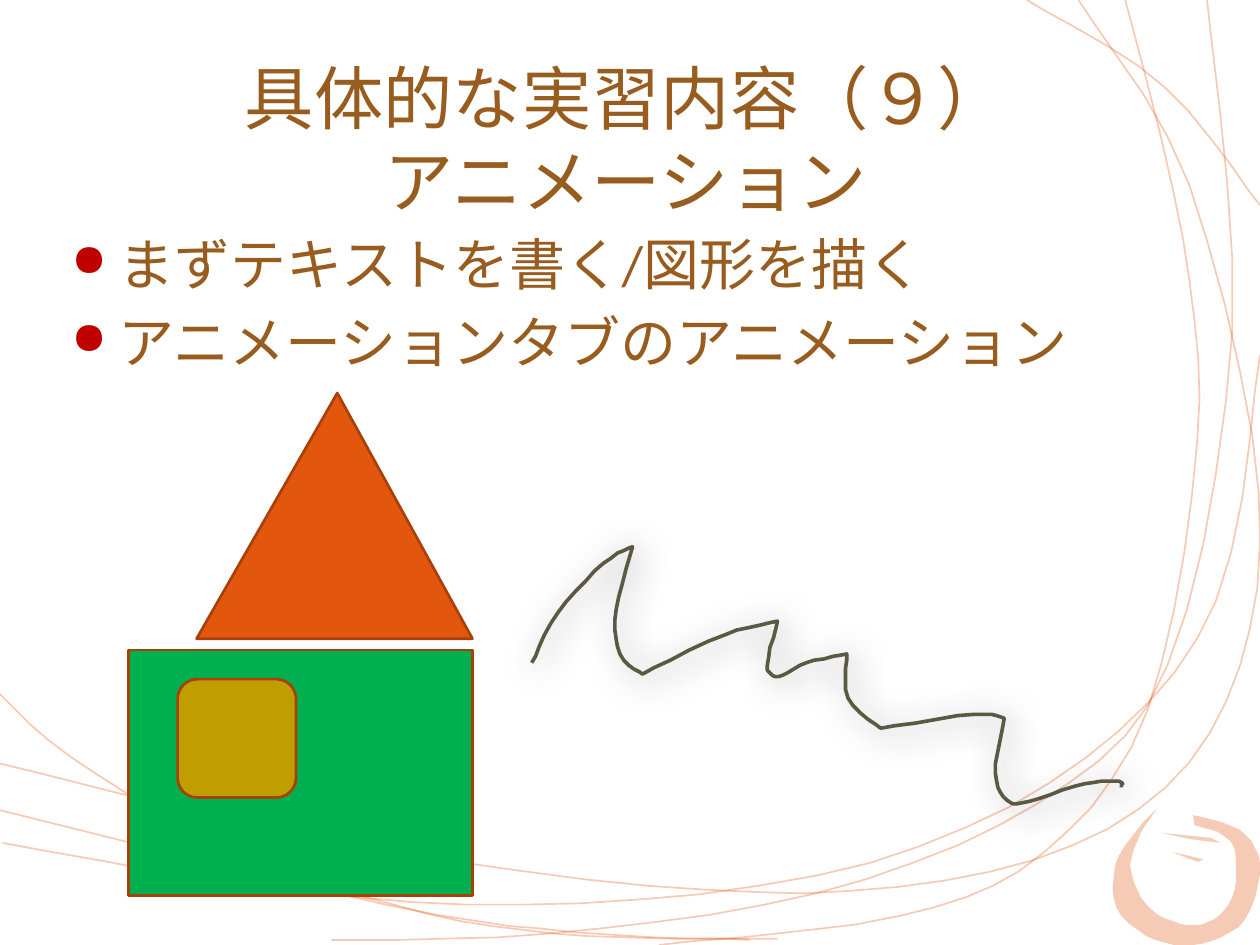
from lxml import etree
from pptx import Presentation
from pptx.dml.color import RGBColor
from pptx.enum.shapes import MSO_SHAPE
from pptx.enum.text import MSO_ANCHOR, PP_ALIGN
from pptx.oxml.ns import qn
from pptx.util import Pt

RECTANGLE = MSO_SHAPE.RECTANGLE
TRIANGLE = MSO_SHAPE.ISOSCELES_TRIANGLE
ROUNDED = MSO_SHAPE.ROUNDED_RECTANGLE
MIDDLE, TOP = MSO_ANCHOR.MIDDLE, MSO_ANCHOR.TOP
CENTER, LEFT = PP_ALIGN.CENTER, PP_ALIGN.LEFT

FONT = "Calibri"
BROWN, ORANGE, RUST = "975C1E", "E3560E", "A8400A"
GREEN, GOLD, RED, OLIVE = "00B050", "C09D00", "C00000", "5C5943"
GRID = 0.72  # points per unit of the outline coordinates below
STEPS = 5  # straight pieces between two key points of a curve

SWIRLS = [
    [(-3, 548), (55, 600), (185, 675), (338, 725), (467, 743), (617, 745)],
    [(523, 750), (714, 727), (828, 677), (911, 563), (950, 352), (939, 190), (893, 0)],
    [(0, 606), (248, 665), (514, 703), (712, 704), (879, 658), (973, 557), (999, 391),
     (944, 147), (856, 0)],
    [(2, 669), (237, 708), (460, 717), (690, 685), (861, 602), (965, 477), (1000, 282)],
    [(263, 746), (435, 741), (648, 709), (823, 638), (927, 527), (978, 263), (958, 0)],
    [(815, 0), (924, 69), (1000, 163)],
    [(0, 643), (306, 718), (456, 740), (595, 746)],
]
RING_OUTER = [(919, 641), (888, 679), (886, 720), (917, 746), (954, 749), (988, 730),
              (1000, 686), (983, 658), (947, 647)]
RING_INNER = [(948, 655), (977, 668), (980, 706), (963, 730), (936, 733), (910, 718),
              (897, 687), (907, 658)]
STREAKS = [
    [(922, 661), (961, 665), (969, 669), (944, 666)],
    [(930, 676), (955, 682), (951, 684), (942, 681)],
]
SCRIBBLE_STROKES = [
    [(0, 96), (21, 56), (57, 17), (80, 4)],
    [(80, 4), (67, 54), (70, 89), (88, 105)],
    [(88, 105), (153, 74), (195, 63)],
    [(195, 63), (187, 98), (196, 107), (218, 96), (250, 89)],
    [(250, 89), (251, 124), (277, 148)],
    [(277, 148), (351, 137), (375, 140)],
    [(375, 140), (368, 184), (377, 205), (395, 206), (439, 192), (466, 190), (468, 195)],
]


def color(value):
    return RGBColor.from_string(value)


def smooth(keys):
    """Return points of a Catmull-Rom curve through the key points."""
    padded = [keys[0], *keys, keys[-1]]
    points = [keys[0]]
    for before, start, end, after in zip(padded, padded[1:], padded[2:], padded[3:]):
        for step in range(1, STEPS + 1):
            t = step / STEPS
            points.append(tuple(
                b + (t * (c - a) + t**2 * (2 * a - 5 * b + 4 * c - d)
                     + t**3 * (3 * b - a - 3 * c + d)) / 2
                for a, b, c, d in zip(before, start, end, after)))
    return points


def set_opacity(shape, percent):
    for node in shape._element.spPr.iter(qn("a:srgbClr")):
        etree.SubElement(node, qn("a:alpha"), val=str(percent * 1000))


def paint(shape, fill=None, line=None, width=1):
    shape.shadow.inherit = False
    if fill:
        shape.fill.solid()
        shape.fill.fore_color.rgb = color(fill)
    else:
        shape.fill.background()
    if line:
        shape.line.color.rgb = color(line)
        shape.line.width = Pt(width)
    else:
        shape.line.fill.background()


def add_outline(page, box, points, closed=False, **style):
    """Draw points, given in grid units from the top left of the box."""
    left, top = box[0] / GRID, box[1] / GRID
    moved = [(left + x, top + y) for x, y in points]
    builder = page.shapes.build_freeform(*moved[0], scale=Pt(GRID))
    builder.add_line_segments(moved[1:], close=closed)
    shape = builder.convert_to_shape()
    paint(shape, **style)
    return shape


def add_preset(page, kind, left, top, width, height, fill):
    shape = page.shapes.add_shape(kind, Pt(left), Pt(top), Pt(width), Pt(height))
    paint(shape, fill, RUST, 1.54)
    return shape


def add_bullet(para):
    props = para._p.get_or_add_pPr()
    props.set("marL", str(Pt(27)))
    props.set("indent", str(Pt(-27)))
    tint = etree.SubElement(props, qn("a:buClr"))
    etree.SubElement(tint, qn("a:srgbClr"), val=RED)
    etree.SubElement(props, qn("a:buSzPct"), val="80000")
    etree.SubElement(props, qn("a:buChar"), char="●")


def add_text(page, box, paragraphs, size, align=LEFT, anchor=TOP, before=0, bullets=False):
    """Write paragraphs; a newline inside one becomes a line break."""
    frame = page.shapes.add_textbox(*map(Pt, box)).text_frame
    frame.word_wrap = True
    frame.vertical_anchor = anchor
    for index, text in enumerate(paragraphs):
        para = frame.paragraphs[0] if index == 0 else frame.add_paragraph()
        para.alignment = align
        para.space_before = Pt(before)
        if bullets:
            add_bullet(para)
        for number, part in enumerate(text.split("\n")):
            if number:
                para.add_line_break()
            span = para.add_run()
            span.text = part
            span.font.size = Pt(size)
            span.font.name = FONT
            span.font.color.rgb = color(BROWN)
            etree.SubElement(span._r.get_or_add_rPr(), qn("a:ea"), typeface=FONT)


def add_backdrop(page, box):
    for keys in SWIRLS:
        set_opacity(add_outline(page, box, smooth(keys), line=ORANGE), 29)
    ring = smooth(RING_OUTER) + smooth(RING_INNER)
    for points in [ring, *STREAKS]:
        set_opacity(add_outline(page, box, points, closed=True, fill=ORANGE), 30)


def add_house(page, box):
    left, top, width, height = box
    storey = 140.4
    wall_top = top + height - storey
    add_preset(page, RECTANGLE, left, wall_top, width, storey, GREEN)
    roof = add_preset(page, TRIANGLE, left + 38.9, top, width - 38.9, storey, ORANGE)
    roof.adjustments[0] = 0.51
    add_preset(page, ROUNDED, left + 28.1, wall_top + 16.6, 67.7, 67.7, GOLD)


def add_scribble(page, box):
    points = [point for stroke in SCRIBBLE_STROKES for point in smooth(stroke)]
    shape = add_outline(page, box, points, line=OLIVE, width=2.07)
    effects = shape._element.spPr.find(qn("a:effectLst"))
    shadow = etree.SubElement(effects, qn("a:outerShdw"), blurRad=str(Pt(20)),
                              dist=str(Pt(4)), dir="2700000", algn="tl", rotWithShape="0")
    tint = etree.SubElement(shadow, qn("a:srgbClr"), val="000000")
    etree.SubElement(tint, qn("a:alpha"), val="55000")


def main():
    deck = Presentation()
    deck.slide_width, deck.slide_height = Pt(720), Pt(540)
    page = deck.slides.add_slide(deck.slide_layouts[6])
    add_backdrop(page, (0, 0, 720, 540))
    add_text(page, (33.8, 33.8, 648, 90), ["具体的な実習内容（９）\nアニメーション"], 39.6,
             align=CENTER, anchor=MIDDLE)
    add_text(page, (33.8, 127.4, 648, 369.4),
             ["まずテキストを書く/図形を描く", "アニメーションタブのアニメーション"], 32,
             before=6.4, bullets=True)
    add_house(page, (73.4, 224.6, 196.6, 287.3))
    add_scribble(page, (303.8, 309.6, 337.7, 149))
    deck.save("out.pptx")


if __name__ == "__main__":
    main()
